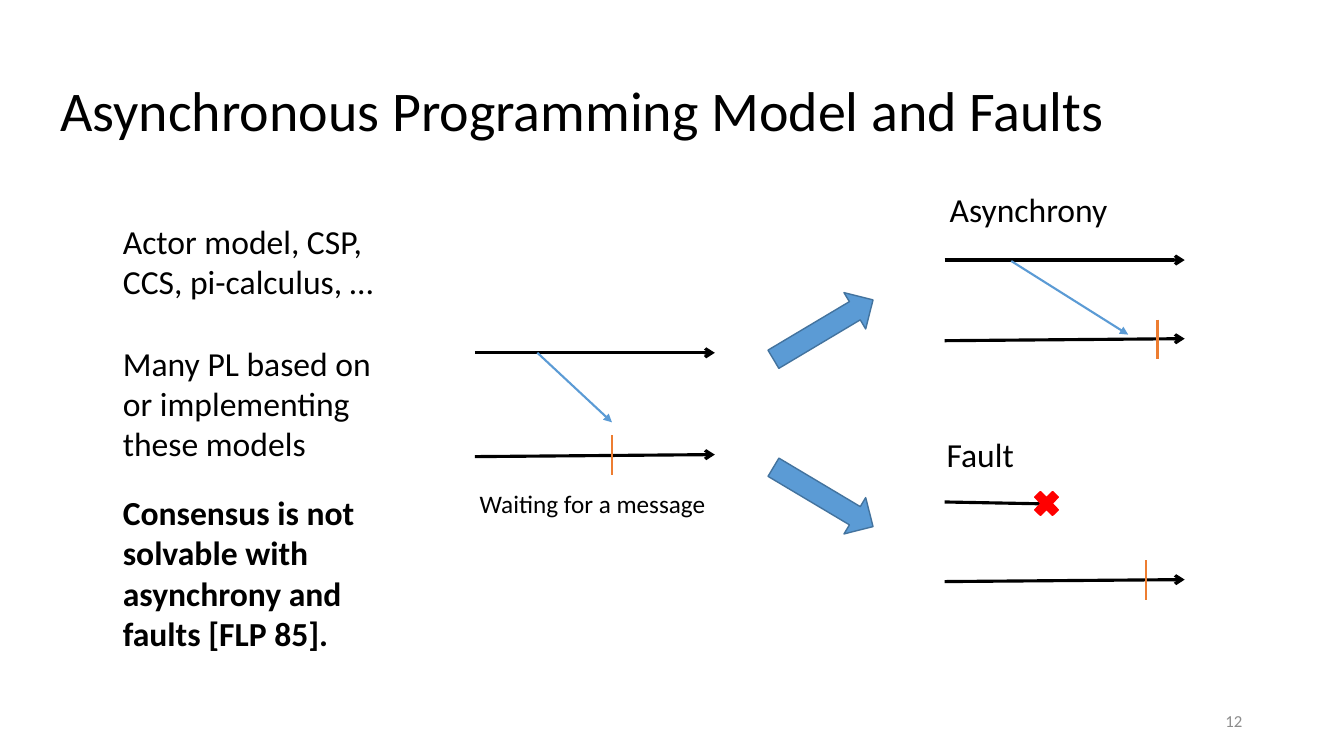
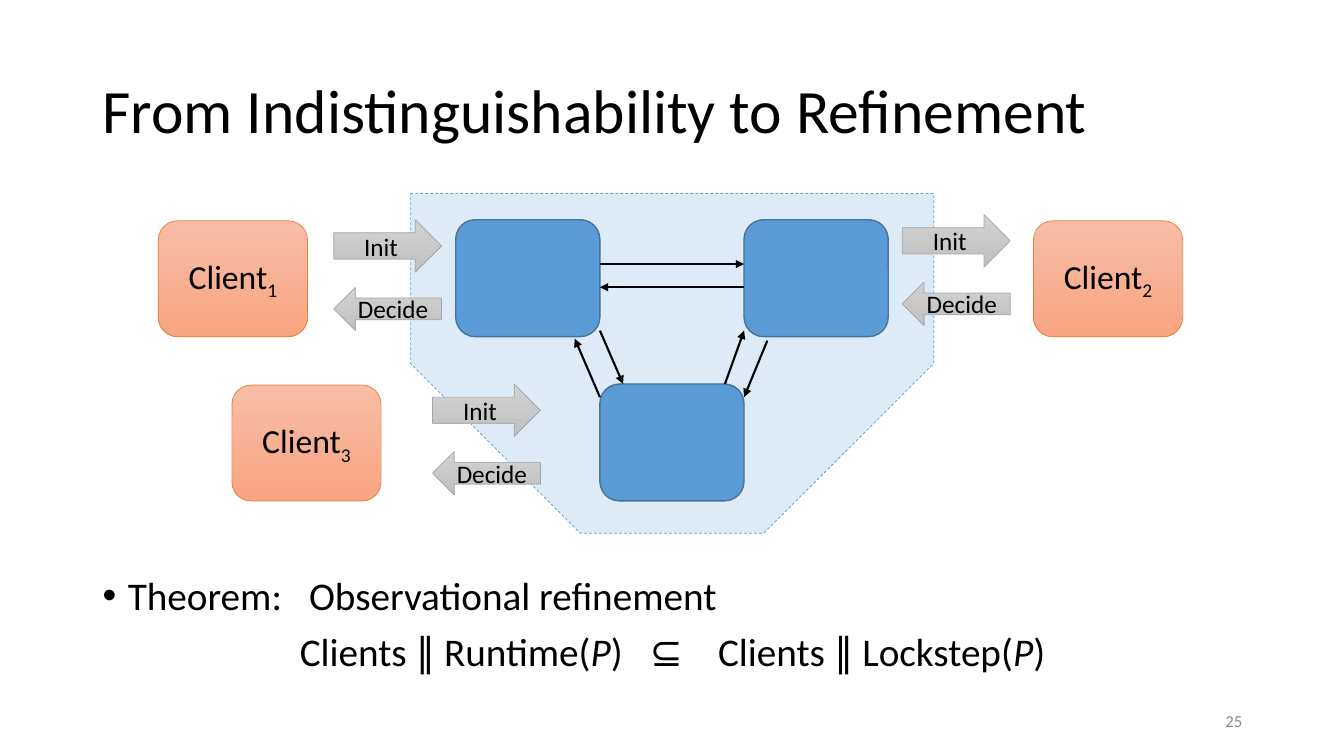
from lxml import etree
from pptx import Presentation
from pptx.dml.color import RGBColor
from pptx.enum.dml import MSO_LINE
from pptx.enum.shapes import MSO_CONNECTOR, MSO_SHAPE
from pptx.enum.text import MSO_ANCHOR, PP_ALIGN
from pptx.oxml.ns import qn
from pptx.util import Inches, Pt

BLACK, GRAY, RED = "000000", "8C8C8C", "FF0000"
BLUE, BLUE_EDGE, PALE_BLUE = "5B9BD5", "43739E", "DEEBF7"
ORANGE, SILVER_EDGE = "ED7D31", "A5A5A5"
PEACH_GRADIENT = ("F7BDA5", "F8A582")
SILVER_GRADIENT = ("D2D2D2", "C0C0C0")


def color(hex_string):
    return RGBColor.from_string(hex_string)


class Slides:
    """Holds the shared style and the page being drawn."""

    font = "Calibri"

    def __init__(self):
        self.deck = Presentation()
        self.deck.slide_width = Inches(13.33)
        self.deck.slide_height = Inches(7.5)
        self.page = None

    def new_page(self):
        self.page = self.deck.slides.add_slide(self.deck.slide_layouts[6])

    def add_span(self, para, text, size, ink=BLACK, bold=False, italic=False,
                 baseline=None, spacing=None):
        span = para.add_run()
        span.text = text
        span.font.name = self.font
        span.font.size = Pt(size)
        span.font.color.rgb = color(ink)
        span.font.bold = bold
        span.font.italic = italic
        properties = span._r.get_or_add_rPr()
        if baseline:
            properties.set("baseline", str(baseline * 1000))
        if spacing:
            properties.set("spc", str(spacing * 100))

    def text_box(self, left, top, width, height, wrap=True, anchor=MSO_ANCHOR.TOP):
        box = self.page.shapes.add_textbox(
            Inches(left), Inches(top), Inches(width), Inches(height))
        box.text_frame.word_wrap = wrap
        box.text_frame.vertical_anchor = anchor
        return box.text_frame

    def label(self, left, top, width, height, *lines, size=24, bold=False, wrap=False):
        frame = self.text_box(left, top, width, height, wrap)
        for number, line in enumerate(lines):
            para = frame.add_paragraph() if number else frame.paragraphs[0]
            self.add_span(para, line, size, bold=bold)

    def title(self, text, left, width, size):
        frame = self.text_box(left, 0.4, width, 1.45, anchor=MSO_ANCHOR.MIDDLE)
        para = frame.paragraphs[0]
        para.line_spacing = 0.9
        self.add_span(para, text, size)

    def page_number(self, number):
        frame = self.text_box(9.42, 6.95, 3, 0.4, anchor=MSO_ANCHOR.MIDDLE)
        para = frame.paragraphs[0]
        para.alignment = PP_ALIGN.RIGHT
        self.add_span(para, str(number), 12, GRAY)

    def shape(self, kind, left, top, width, height, fill, edge, weight=1):
        shape = self.page.shapes.add_shape(
            kind, Inches(left), Inches(top), Inches(width), Inches(height))
        shape.shadow.inherit = False
        if isinstance(fill, str):
            shape.fill.solid()
            shape.fill.fore_color.rgb = color(fill)
        else:
            shape.fill.gradient()
            shape.fill.gradient_angle = 270
            for stop, shade in zip(shape.fill.gradient_stops, fill):
                stop.color.rgb = color(shade)
        shape.line.color.rgb = color(edge)
        shape.line.width = Pt(weight)
        return shape

    def caption(self, shape, text, size, subscript=None):
        shape.text_frame.vertical_anchor = MSO_ANCHOR.MIDDLE
        para = shape.text_frame.paragraphs[0]
        para.alignment = PP_ALIGN.CENTER
        self.add_span(para, text, size)
        if subscript:
            self.add_span(para, subscript, size, baseline=-25)

    def line(self, start, end, ink=BLACK, weight=1.5, head=None):
        line = self.page.shapes.add_connector(
            MSO_CONNECTOR.STRAIGHT, *(Inches(value) for value in (*start, *end)))
        line.line.color.rgb = color(ink)
        line.line.width = Pt(weight)
        properties = line.element.spPr
        if head:
            outline = properties.find(qn("a:ln"))
            etree.SubElement(outline, qn("a:tailEnd"), type=head)
        etree.SubElement(properties, qn("a:effectLst"))

    def timeline(self, left, start_y, end_y, length=2.38, head="arrow"):
        self.line((left, start_y), (left + length, end_y), weight=2.25, head=head)

    def message(self, start, end):
        self.line(start, end, BLUE, head="triangle")

    def wait_mark(self, x, top):
        self.line((x, top), (x, top + 0.39), ORANGE)

    def node(self, left, top):
        self.shape(MSO_SHAPE.ROUNDED_RECTANGLE, left, top, 1.43, 1.16, BLUE, BLUE_EDGE)

    def client(self, number, left, top, arrows_left, arrows_top):
        box = self.shape(MSO_SHAPE.ROUNDED_RECTANGLE, left, top, 1.48, 1.15,
                         PEACH_GRADIENT, ORANGE, 0.5)
        self.caption(box, "Client", 24, str(number))
        calls = (("Init", MSO_SHAPE.RIGHT_ARROW, 0, 0.52),
                 ("Decide", MSO_SHAPE.LEFT_ARROW, 0.67, 0.43))
        for text, kind, offset, height in calls:
            arrow = self.shape(kind, arrows_left, arrows_top + offset, 1.07, height,
                               SILVER_GRADIENT, SILVER_EDGE, 0.5)
            self.caption(arrow, text, 18)


slides = Slides()

# Slide 12: asynchrony and faults
slides.new_page()
slides.title("Asynchronous Programming Model and Faults", 0.5, 12.27, 40)
slides.label(1.12, 4.83, 2.57, 1.72,
             "Consensus is not solvable with asynchrony and faults [FLP 85].",
             bold=True, wrap=True)
slides.label(1.12, 2.14, 2.71, 0.91, "Actor model, CSP,", "CCS, pi-calculus, …")
slides.label(1.12, 3.35, 2.69, 1.31,
             "Many PL based on or implementing these models", wrap=True)
slides.page_number(12)

# Waiting process
slides.timeline(4.71, 3.5, 3.5)
slides.timeline(4.71, 4.53, 4.51)
slides.message((5.33, 3.5), (6.07, 4.19))
slides.wait_mark(6.07, 4.32)
slides.label(4.66, 4.8, 2.47, 0.4, "Waiting for a message", size=18)

# Branches to the two explanations
for branch_top, angle in ((4.72, 30.8), (3.06, -30.8)):
    branch = slides.shape(MSO_SHAPE.RIGHT_ARROW, 7.59, branch_top, 1.15, 0.42,
                          BLUE, BLUE_EDGE)
    branch.rotation = angle

# Asynchrony
slides.label(9.32, 1.83, 1.78, 0.5, "Asynchrony")
slides.timeline(9.37, 2.58, 2.58)
slides.timeline(9.37, 3.38, 3.36)
slides.message((10.03, 2.59), (11.19, 3.32))
slides.wait_mark(11.48, 3.17)

# Fault
slides.label(9.29, 4.26, 0.87, 0.5, "Fault")
slides.timeline(9.37, 4.98, 5, length=1.06, head=None)
slides.timeline(9.37, 5.77, 5.75)
slides.wait_mark(11.37, 5.56)
slides.shape(MSO_SHAPE.MATH_MULTIPLY, 10.21, 4.82, 0.34, 0.35, RED, RED)

# Slide 25: refinement
slides.new_page()
runtime = slides.shape(MSO_SHAPE.SNIP_2_SAME_RECTANGLE, 4.07, 1.92, 5.19, 3.37,
                       PALE_BLUE, BLUE, 0.5)
runtime.adjustments[0], runtime.adjustments[1] = 0, 0.5
runtime.line.dash_style = MSO_LINE.DASH
slides.title("From Indistinguishability to Refinement", 0.92, 11.5, 44)

# Theorem
theorem = slides.text_box(0.92, 5.67, 11.5, 1.34)
heading, formula = theorem.paragraphs[0], theorem.add_paragraph()
for para in (heading, formula):
    para.line_spacing = 0.9
    para.space_before = Pt(10)
bullet = heading._p.get_or_add_pPr()
bullet.set("marL", str(Inches(0.25)))
bullet.set("indent", str(Inches(-0.25)))
etree.SubElement(bullet, qn("a:buFont"), typeface="Arial")
etree.SubElement(bullet, qn("a:buChar"), char="•")
slides.add_span(heading, "Theorem:", 28)
slides.add_span(heading, " ", 28, spacing=13)
slides.add_span(heading, "Observational refinement", 28)
formula.alignment = PP_ALIGN.CENTER
for text, italic, spacing in (
        ("Clients ∥ Runtime(", False, None), ("P", True, None), (")", False, None),
        (" ", False, 13), ("⊆", False, None), (" ", False, 19),
        ("Clients ∥ Lockstep(", False, None), ("P", True, None), (")", False, None)):
    slides.add_span(formula, text, 28, italic=italic, spacing=spacing)
slides.page_number(25)

# Runtime nodes and their messages
for left, top in ((4.52, 2.18), (7.38, 2.18), (5.95, 3.81)):
    slides.node(left, top)
for start, end in (
        ((5.95, 2.62), (7.38, 2.62)), ((7.38, 2.85), (5.95, 2.85)),
        ((5.95, 3.28), (6.18, 3.81)), ((5.95, 3.94), (5.7, 3.36)),
        ((7.19, 3.81), (7.38, 3.28)), ((7.61, 3.38), (7.38, 3.94))):
    slides.line(start, end, head="triangle")

# Clients with their calls
slides.client(1, 1.57, 2.19, 3.31, 2.18)
slides.client(2, 10.25, 2.19, 8.95, 2.13)
slides.client(3, 2.3, 3.82, 4.29, 3.81)

slides.deck.save("out.pptx")
